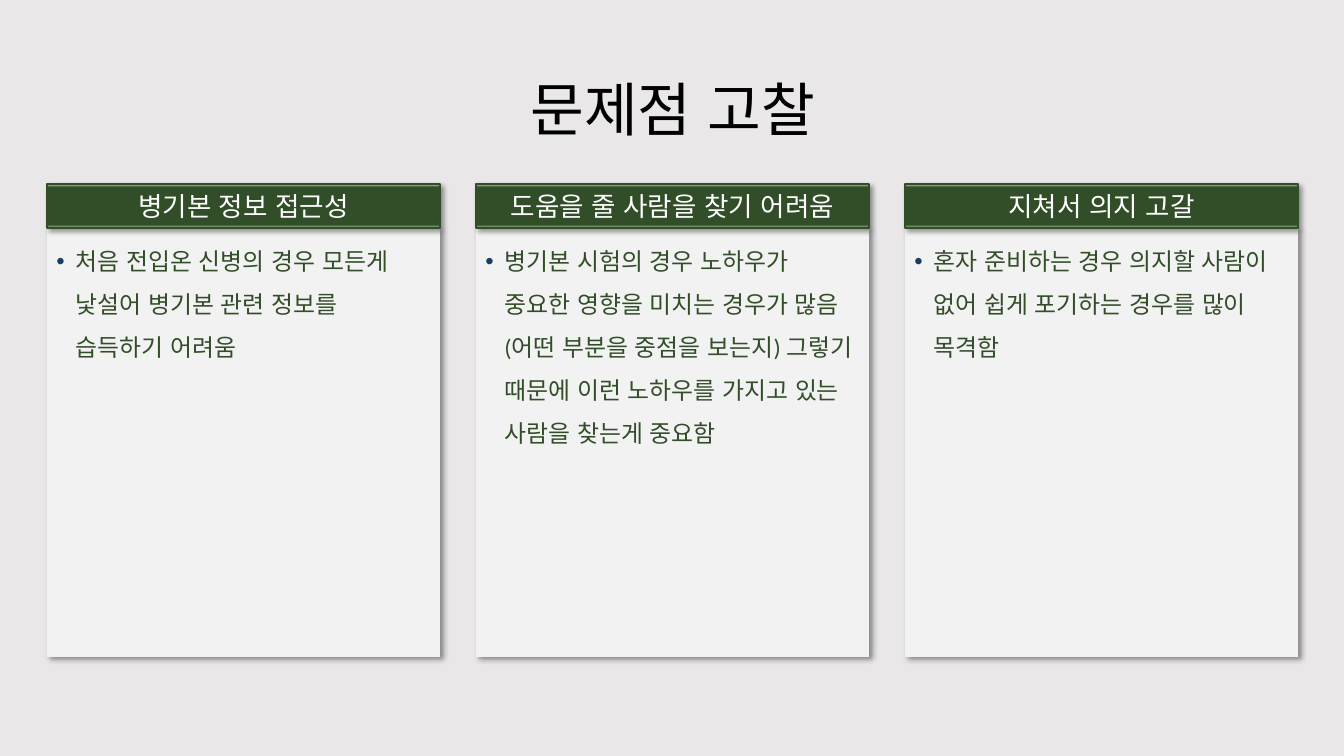
from lxml import etree
from pptx import Presentation
from pptx import util as u
from pptx.dml.color import RGBColor
from pptx.enum import lang, shapes, text
from pptx.oxml import ns

PX = 9565
GREEN = RGBColor(0x32, 0x4E, 0x29)
PALE_GREEN = RGBColor(0xD2, 0xE5, 0xCB)
SOFT_GREEN = RGBColor(0xA5, 0xCA, 0x97)
NAVY = RGBColor(0x1C, 0x3D, 0x62)
PANEL = RGBColor(0xF2, 0xF2, 0xF2)
BACKGROUND = RGBColor(0xE9, 0xE7, 0xE7)
WHITE = RGBColor(0xFF, 0xFF, 0xFF)
BLACK = RGBColor(0, 0, 0)
LATIN = "Calibri"
KOREAN = "Noto Sans CJK KR"

SLIDE_SIZE = (1344, 756)
TITLE_BOX = (93, 40, 1160, 146)
CARD_LEFT, CARD_TOP, CARD_STEP = 47, 184, 429
CARD_SIZE = (393, 473)
HEADER_HEIGHT = 44

CARDS = [
    ("병기본 정보 접근성",
     "처음 전입온 신병의 경우 모든게 낯설어 병기본 관련 정보를 습득하기 어려움"),
    ("도움을 줄 사람을 찾기 어려움",
     "병기본 시험의 경우 노하우가 중요한 영향을 미치는 경우가 많음(어떤 부분을 중점을 보는지) "
     "그렇기 때문에 이런 노하우를 가지고 있는 사람을 찾는게 중요함"),
    ("지쳐서 의지 고갈",
     "혼자 준비하는 경우 의지할 사람이 없어 쉽게 포기하는 경우를 많이 목격함"),
]


def emu(box):
    return [length * PX for length in box]


def add_element(parent, tag, **attributes):
    return etree.SubElement(parent, ns.qn(tag), attributes)


def add_color(parent, color, **attributes):
    return add_element(parent, "a:srgbClr", val=str(color), **attributes)


def write_text(shape, content, *, size, color, font=LATIN, spacing=1.0,
               align=text.PP_ALIGN.CENTER, anchor=text.MSO_ANCHOR.MIDDLE, bullet=None):
    frame = shape.text_frame
    frame.word_wrap = True
    frame.vertical_anchor = anchor
    paragraph = frame.paragraphs[0]
    paragraph.alignment = align
    paragraph.line_spacing = spacing
    if bullet:
        properties = paragraph._p.get_or_add_pPr()
        properties.set("marL", str(19 * PX))
        properties.set("indent", str(-19 * PX))
        add_color(add_element(properties, "a:buClr"), bullet)
        add_element(properties, "a:buFont", typeface="Arial")
        add_element(properties, "a:buChar", char="•")
    run = paragraph.add_run()
    run.text = content
    run.font.size = u.Pt(size)
    run.font.color.rgb = color
    run.font.name = font
    run.font.language_id = lang.MSO_LANGUAGE_ID.KOREAN
    add_element(run._r.get_or_add_rPr(), "a:ea", typeface=KOREAN)


def add_panel(slide, box):
    shape = slide.shapes.add_shape(shapes.MSO_SHAPE.RECTANGLE, *emu(box))
    shape.fill.solid()
    shape.fill.fore_color.rgb = PANEL
    shape.line.fill.background()
    shape.shadow.inherit = False
    effects = shape._element.spPr.find(ns.qn("a:effectLst"))
    shadow = add_element(effects, "a:outerShdw", blurRad=str(u.Pt(4)), dist=str(u.Pt(3)),
                         dir="2700000", algn="tl", rotWithShape="0")
    add_element(add_color(shadow, BLACK), "a:alpha", val="40000")
    return shape


def fill_header(shape):
    shape.fill.gradient()
    shape.fill.gradient_angle = 270
    stops = shape._element.spPr.find(".//" + ns.qn("a:gsLst"))
    for stop in list(stops):
        stops.remove(stop)
    for percent, color in ((0, PALE_GREEN), (7, GREEN), (93, GREEN), (100, SOFT_GREEN)):
        add_color(add_element(stops, "a:gs", pos=str(percent * 1000)), color)
    shape.line.color.rgb = GREEN
    shape.line.width = u.Pt(1)


def add_title(slide, box):
    title = slide.shapes.add_textbox(*emu(box))
    write_text(title, "문제점 고찰", size=44, color=BLACK, spacing=0.9)


def add_card(slide, box, heading, problem):
    left, top, width, height = box
    body = add_panel(slide, (left, top + HEADER_HEIGHT, width, height - HEADER_HEIGHT))
    write_text(body, problem, size=18, color=GREEN, spacing=1.5, bullet=NAVY,
               align=text.PP_ALIGN.LEFT, anchor=text.MSO_ANCHOR.TOP)
    header = add_panel(slide, (left, top, width, HEADER_HEIGHT))
    fill_header(header)
    write_text(header, heading, size=20, color=WHITE, font=KOREAN)


def main():
    presentation = Presentation()
    presentation.slide_width, presentation.slide_height = emu(SLIDE_SIZE)
    slide = presentation.slides.add_slide(presentation.slide_layouts[6])
    slide.background.fill.solid()
    slide.background.fill.fore_color.rgb = BACKGROUND
    add_title(slide, TITLE_BOX)
    for column, (heading, problem) in enumerate(CARDS):
        left = CARD_LEFT + column * CARD_STEP
        add_card(slide, (left, CARD_TOP, *CARD_SIZE), heading, problem)
    presentation.save("out.pptx")


if __name__ == "__main__":
    main()
